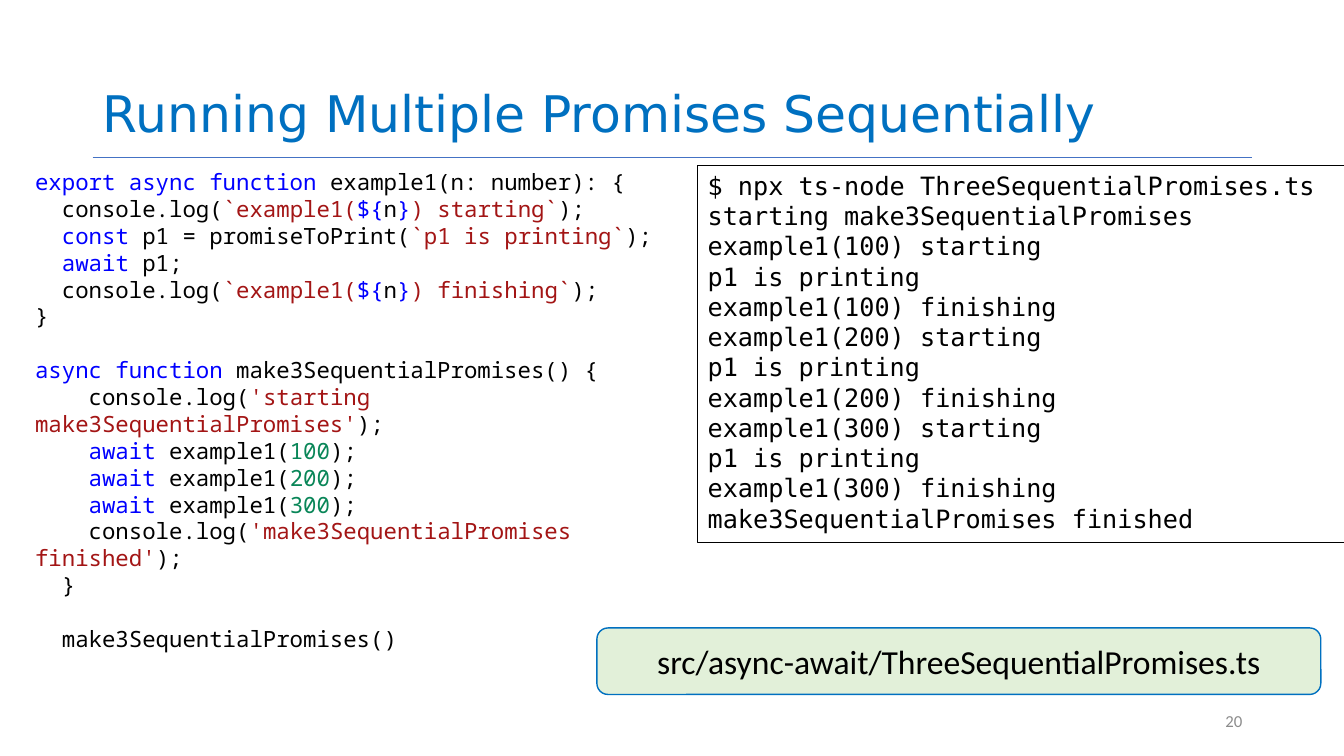
import pptx
import pptx.util
import pptx.dml.color
import pptx.enum.shapes
import pptx.enum.text
import pptx.oxml.ns
import lxml.etree

Inches = pptx.util.Inches
Pt = pptx.util.Pt
SHAPE = pptx.enum.shapes.MSO_SHAPE
ALIGN = pptx.enum.text.PP_ALIGN
ANCHOR = pptx.enum.text.MSO_ANCHOR

COLORS = {
    "title": "0070C0", "rule": "4472C4", "number": "8C8C8C",
    "plain": "000000", "keyword": "0000FF", "string": "A31515",
    "value": "098658", "label": "E2F0D9",
}


def rgb(name):
    return pptx.dml.color.RGBColor.from_string(COLORS[name])


def set_attrs(obj, formats):
    for name, value in formats.items():
        setattr(obj, name, value)


def add_run(p, text, font, size, color="plain"):
    r = p.add_run()
    r.text = text
    set_attrs(r.font, {"name": font, "size": Pt(size)})
    r.font.color.rgb = rgb(color)


def add_lines(tf, lines, font, size, pitch=None, gaps=(), align=ALIGN.LEFT):
    for i, runs in enumerate(lines):
        p = tf.paragraphs[0] if i == 0 else tf.add_paragraph()
        set_attrs(p, {
            "alignment": align,
            "line_spacing": Pt(pitch) if pitch else 1.0,
            "space_before": Pt(pitch if i in gaps else 0),
            "space_after": Pt(0),
        })
        for color, text in runs:
            add_run(p, text, font, size, color)


def add_title(s, box, text):
    sp = s.shapes.title
    set_attrs(sp, dict(zip(("left", "top", "width", "height"), map(Inches, box))))
    tf = sp.text_frame
    set_attrs(tf, {"word_wrap": True, "vertical_anchor": ANCHOR.BOTTOM,
                   "auto_size": pptx.enum.text.MSO_AUTO_SIZE.NONE})
    add_lines(tf, [[("title", text)]], "DejaVu Sans", 36)
    tf.paragraphs[0].line_spacing = 0.9
    left, top, width, height = box
    y = Inches(top + height + 0.09)
    rule = s.shapes.add_connector(pptx.enum.shapes.MSO_CONNECTOR.STRAIGHT,
                                  Inches(left), y, Inches(left + width), y)
    rule.line.color.rgb = rgb("rule")
    rule.line.width = Pt(0.5)
    lxml.etree.SubElement(rule._element.spPr, pptx.oxml.ns.qn("a:effectLst"))


def add_text(s, box, lines, anchor=ANCHOR.TOP, **formats):
    sp = s.shapes.add_textbox(*map(Inches, box))
    set_attrs(sp.text_frame, {"word_wrap": True, "vertical_anchor": anchor})
    add_lines(sp.text_frame, lines, **formats)


def add_panel(s, box, shape, line, fill, lines, anchor=ANCHOR.TOP, **formats):
    sp = s.shapes.add_shape(shape, *map(Inches, box))
    sp.shadow.inherit = False
    if fill:
        sp.fill.solid()
        sp.fill.fore_color.rgb = rgb(fill)
    else:
        sp.fill.background()
    sp.line.color.rgb = rgb(line)
    sp.line.width = Pt(1)
    set_attrs(sp.text_frame, {"word_wrap": True, "vertical_anchor": anchor})
    add_lines(sp.text_frame, lines, **formats)


def log_template(ending):
    return [("plain", "  console.log("), ("string", "`example1("),
            ("keyword", "${"), ("plain", "n"), ("keyword", "}"),
            ("string", f") {ending}`"), ("plain", ");")]


def log_text(text):
    return [("plain", "    console.log("), ("string", f"'{text}'"), ("plain", ");")]


def await_call(n):
    return [("plain", "    "), ("keyword", "await"), ("plain", " example1("),
            ("value", str(n)), ("plain", ");")]


def code_lines(calls):
    return [
        [("keyword", "export async function"), ("plain", " example1(n: number): {")],
        log_template("starting"),
        [("plain", "  "), ("keyword", "const"), ("plain", " p1 = promiseToPrint("),
         ("string", "`p1 is printing`"), ("plain", ");")],
        [("plain", "  "), ("keyword", "await"), ("plain", " p1;")],
        log_template("finishing"),
        [("plain", "}")],
        [("keyword", "async function"), ("plain", " make3SequentialPromises() {")],
        log_text("starting make3SequentialPromises"),
        *map(await_call, calls),
        log_text("make3SequentialPromises finished"),
        [("plain", "  }")],
        [("plain", "  make3SequentialPromises()")],
    ]


def output_lines(calls):
    lines = ["$ npx ts-node ThreeSequentialPromises.ts", "starting make3SequentialPromises"]
    for n in calls:
        lines += [f"example1({n}) starting", "p1 is printing", f"example1({n}) finishing"]
    lines.append("make3SequentialPromises finished")
    return [[("plain", line)] for line in lines]


def main():
    prs = pptx.Presentation()
    prs.slide_width, prs.slide_height = Inches(13.33), Inches(7.5)
    s = prs.slides.add_slide(prs.slide_layouts[5])
    calls = (100, 200, 300)
    add_title(s, (0.92, 0.02, 11.5, 1.45), "Running Multiple Promises Sequentially")
    add_text(s, (9.42, 6.95, 3, 0.4), [[("number", "20")]], ANCHOR.MIDDLE,
             font="Calibri", size=12, align=ALIGN.RIGHT)
    add_text(s, (0.25, 1.62, 6.67, 4.41), code_lines(calls),
             font="Noto Sans Mono", size=16, pitch=19.2, gaps=(6, 13))
    add_panel(s, (6.92, 1.64, 6.42, 3.74), SHAPE.RECTANGLE, "plain", None,
              output_lines(calls), font="DejaVu Sans Mono", size=18, pitch=21.6)
    add_panel(s, (5.92, 6.23, 7.18, 0.66), SHAPE.ROUNDED_RECTANGLE, "title", "label",
              [[("plain", "src/async-await/ThreeSequentialPromises.ts")]], ANCHOR.MIDDLE,
              font="Calibri", size=24, align=ALIGN.CENTER)
    prs.save("out.pptx")


if __name__ == "__main__":
    main()
